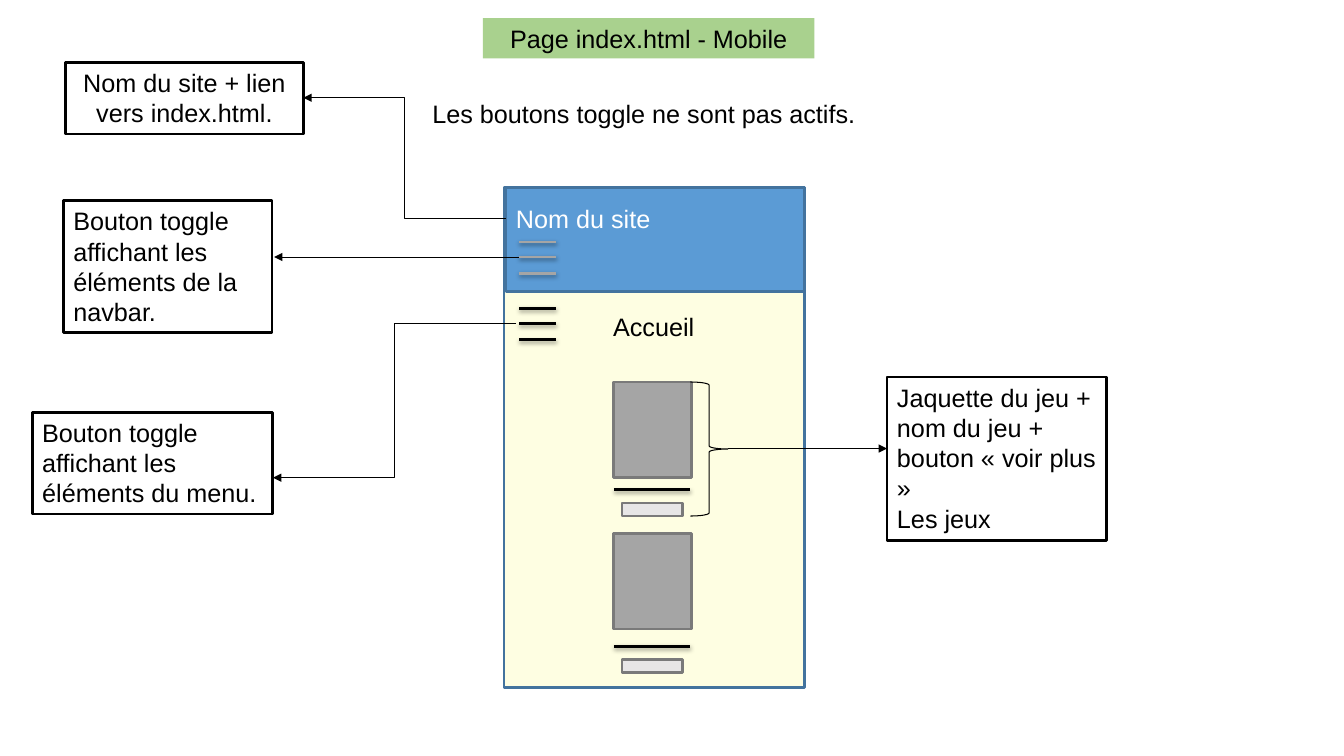
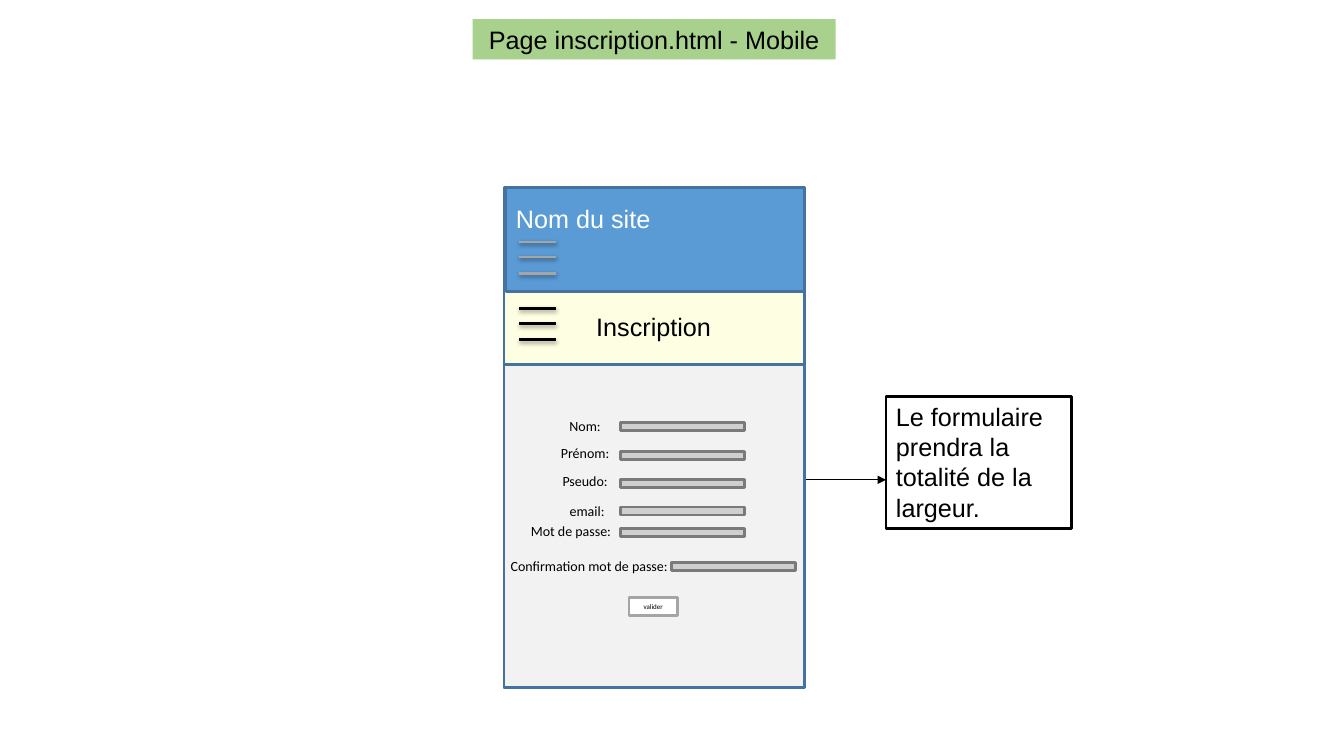
from pptx import Presentation
from pptx import util as u
from pptx.dml.color import RGBColor
from pptx.enum import shapes, text
from pptx.oxml import parse_xml
from pptx.oxml.ns import nsdecls


class Look:
    black, white = "000000", "FFFFFF"
    title, head, page, form = "A9D18E", "5B9BD5", "FEFEE2", "F2F2F2"
    frame, edge, gray = "43739E", "7A7A7A", "A5A5A5"
    field, name = "D0CECE", "E7E6E6"
    body, label, tiny = ("Arial", 18), ("Calibri", 10), ("Calibri", 5)
    thick, thin = 2, 0.75


PX = 9144
LEFT, MID = text.PP_ALIGN.LEFT, text.PP_ALIGN.CENTER
LINE, BENT = shapes.MSO_CONNECTOR.STRAIGHT, shapes.MSO_CONNECTOR.ELBOW
RECT, BRACE = shapes.MSO_SHAPE.RECTANGLE, shapes.MSO_SHAPE.RIGHT_BRACE
GLOW = ('<a:outerShdw blurRad="39370" dist="20320" dir="5400000" rotWithShape="0">'
        '<a:srgbClr val="000000"><a:alpha val="38000"/></a:srgbClr></a:outerShdw>')


def box(slide, at, words=(), fill=None, edge=None, align=LEFT, face=Look.body,
        ink=Look.black, kind=RECT, width=Look.thick):
    place = [n * PX for n in at]
    if fill or edge:
        shape = slide.shapes.add_shape(kind, *place)
        shape.shadow.inherit = False
    else:
        shape = slide.shapes.add_textbox(*place)
    if fill:
        shape.fill.solid()
        shape.fill.fore_color.rgb = RGBColor.from_string(fill)
    else:
        shape.fill.background()
    if edge:
        shape.line.color.rgb = RGBColor.from_string(edge)
        shape.line.width = u.Pt(width)
    else:
        shape.line.fill.background()
    frame = shape.text_frame
    frame.word_wrap = True
    small = face != Look.body
    frame.vertical_anchor = text.MSO_ANCHOR.MIDDLE if small else text.MSO_ANCHOR.TOP
    for i, part in enumerate(words):
        para = frame.add_paragraph() if i else frame.paragraphs[0]
        para.alignment = align
        run = para.add_run()
        run.text = part
        run.font.name, run.font.size = face[0], u.Pt(face[1])
        run.font.color.rgb = RGBColor.from_string(ink)
    return shape


def link(slide, ends, kind=LINE, ink=Look.black, arrow=True):
    line = slide.shapes.add_connector(kind, *[n * PX for n in ends])
    line.line.color.rgb = RGBColor.from_string(ink)
    line.line.width = u.Pt(Look.thin if arrow else Look.thick)
    if arrow:
        tip = parse_xml(f'<a:tailEnd {nsdecls("a")} type="triangle"/>')
        line.line._get_or_add_ln().append(tip)
    glow = "" if arrow else GLOW
    line._element.spPr.append(
        parse_xml(f'<a:effectLst {nsdecls("a")}>{glow}</a:effectLst>'))
    return line


deck = Presentation()
deck.slide_width, deck.slide_height = u.Inches(13.333), u.Inches(7.5)

pages = [
    ("Page index.html - Mobile", (479, 18, 329, 40), "Accueil"),
    ("Page inscription.html - Mobile", (469, 19, 360, 40), "Inscription"),
]
for title, at, head in pages:
    slide = deck.slides.add_slide(deck.slide_layouts[6])
    box(slide, (500, 186, 298, 496), fill=Look.page, edge=Look.frame)
    box(slide, (502, 186, 296, 103), fill=Look.head, edge=Look.frame)
    box(slide, (502, 197, 159, 40), ["Nom du site"], ink=Look.white)
    box(slide, (575, 304, 147, 40), [head], align=MID)
    for top, ink in ((240, Look.gray), (306, Look.black)):
        for gap in (0, 15, 31):
            link(slide, (515, top + gap, 552, top + gap), ink=ink, arrow=False)
    box(slide, at, [title], fill=Look.title, align=MID)

home, join = deck.slides

for top, rule in ((379, 486), (529, 641)):
    box(home, (609, top, 77, 95), fill=Look.gray, edge=Look.edge)
    link(home, (609, rule, 685, rule), arrow=False)
    box(home, (617, rule + 13, 60, 13), fill=Look.name, edge=Look.edge)

box(home, (419, 93, 448, 40), ["Les boutons toggle ne sont pas actifs."])
box(home, (685, 379, 37, 133), edge=Look.black, kind=BRACE, width=Look.thin)

notes = [
    (home, (65, 62, 236, 71), ["Nom du site + lien vers index.html."], MID,
     (502, 217, 301, 97), BENT),
    (home, (63, 199, 207, 131),
     ["Bouton toggle affichant les éléments de la navbar."], LEFT,
     (515, 255, 272, 255), LINE),
    (home, (32, 409, 238, 101),
     ["Bouton toggle affichant les éléments du menu."], LEFT,
     (512, 321, 271, 474), BENT),
    (home, (880, 374, 218, 162),
     ["Jaquette du jeu + nom du jeu + bouton « voir plus »", "Les jeux"], LEFT,
     (722, 445, 880, 445), LINE),
    (join, (879, 393, 184, 131),
     ["Le formulaire prendra la totalité de la largeur."], LEFT,
     (798, 476, 879, 476), LINE),
]
for slide, at, words, align, ends, kind in notes:
    box(slide, at, words, Look.white, Look.black, align)
    link(slide, ends, kind)

box(join, (500, 362, 298, 320), fill=Look.form, edge=Look.frame)
rows = [
    ("Nom: ", 582, 409, 616, 419),
    ("Prénom: ", 582, 436, 616, 448),
    ("Pseudo: ", 582, 464, 616, 476),
    ("email: ", 584, 493, 616, 503),
    ("Mot de passe: ", 568, 513, 616, 524),
    ("Confirmation mot de passe: ", 586, 548, 666, 558),
]
for label, mid, top, x, y in rows:
    box(join, (mid - 92, top, 184, 27), [label], align=MID, face=Look.label)
    box(join, (x, y, 123, 8), fill=Look.field, edge=Look.edge)
box(join, (624, 593, 48, 18), ["valider"], Look.white, Look.gray, MID, Look.tiny)

deck.save("out.pptx")
